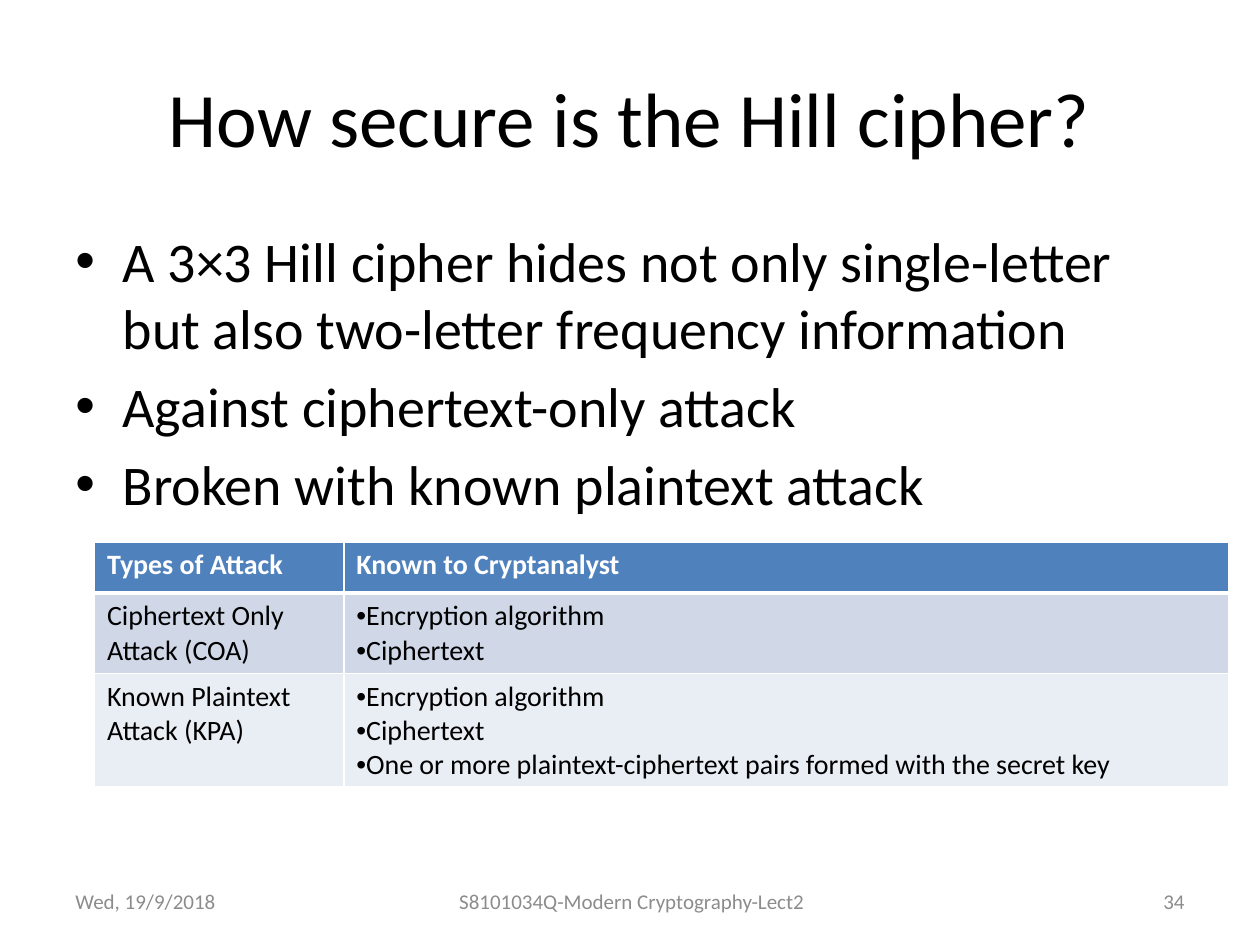
"""Build the slide on the security of the Hill cipher."""
import pptx
import pptx.dml.color
import pptx.enum.text
import pptx.oxml
import pptx.oxml.ns
import pptx.util

Pt = pptx.util.Pt
ALIGN = pptx.enum.text.PP_ALIGN
ANCHOR = pptx.enum.text.MSO_ANCHOR

FONT = "Calibri"
COLORS = {"text": "000000", "footer": "8C8C8C", "white": "FFFFFF",
          "header": "4F81BD", "odd": "D0D8E8", "even": "E9EDF4"}

TITLE = "How secure is the Hill cipher?"
POINTS = [
    "A 3×3 Hill cipher hides not only single-letter but also two-letter frequency information",
    "Against ciphertext-only attack",
    "Broken with known plaintext attack",
]
FOOTERS = [
    ("Wed, 19/9/2018", 36, 168, ALIGN.LEFT),
    ("S8101034Q-Modern Cryptography-Lect2", 218, 286, ALIGN.CENTER),
    ("34", 516, 168, ALIGN.RIGHT),
]
HEADINGS = ["Types of Attack", "Known to Cryptanalyst"]
ATTACKS = [
    ("Ciphertext Only Attack (COA)", ["Encryption algorithm", "Ciphertext"]),
    ("Known Plaintext Attack (KPA)",
     ["Encryption algorithm", "Ciphertext",
      "One or more plaintext-ciphertext pairs formed with the secret key"]),
]
COL_WIDTHS = [142.5, 505.5]
ROW_HEIGHTS = [29.2, 46, 65]


def rgb(name):
    return pptx.dml.color.RGBColor.from_string(COLORS[name])


def add_bullet(p, indent=0):
    pPr = p._p.get_or_add_pPr()
    pPr.set("marL", str(Pt(indent)))
    pPr.set("indent", str(-Pt(indent)))
    ns = pptx.oxml.ns.nsdecls("a")
    pPr.append(pptx.oxml.parse_xml(f'<a:buFont {ns} typeface="Arial"/>'))
    pPr.append(pptx.oxml.parse_xml(f'<a:buChar {ns} char="•"/>'))


def write(tf, lines, size, color="text", align=ALIGN.LEFT, bold=False,
          bullet=False, indent=0, gap=0):
    for i, line in enumerate(lines):
        p = tf.add_paragraph() if i else tf.paragraphs[0]
        p.alignment = align
        if i and gap:
            p.space_before = Pt(gap)
        if bullet:
            add_bullet(p, indent)
        r = p.add_run()
        r.text = line
        r.font.name, r.font.size, r.font.bold = FONT, Pt(size), bold
        r.font.color.rgb = rgb(color)


def add_text(s, box, lines, size, anchor=ANCHOR.MIDDLE, **style):
    tf = s.shapes.add_textbox(*map(Pt, box)).text_frame
    tf.word_wrap = True
    tf.vertical_anchor = anchor
    write(tf, lines, size, **style)


def set_borders(cell, bottom, top):
    tcPr = cell._tc.get_or_add_tcPr()
    widths = {"lnL": 1, "lnR": 1, "lnT": top, "lnB": bottom}
    for i, (tag, width) in enumerate(widths.items()):
        tcPr.insert(i, pptx.oxml.parse_xml(
            f'<a:{tag} {pptx.oxml.ns.nsdecls("a")} w="{Pt(width)}"><a:solidFill>'
            f'<a:srgbClr val="{COLORS["white"]}"/></a:solidFill></a:{tag}>'))


def add_attack_table(s):
    rows = [[[h] for h in HEADINGS]] + [[[name], known] for name, known in ATTACKS]
    table = s.shapes.add_table(len(rows), len(HEADINGS), Pt(54), Pt(309.6),
                               Pt(sum(COL_WIDTHS)), Pt(sum(ROW_HEIGHTS))).table
    for column, width in zip(table.columns, COL_WIDTHS):
        column.width = Pt(width)
    for i, (row, height) in enumerate(zip(rows, ROW_HEIGHTS)):
        table.rows[i].height = Pt(height)
        header = i == 0
        for j, lines in enumerate(row):
            cell = table.cell(i, j)
            cell.fill.solid()
            cell.fill.fore_color.rgb = rgb("header" if header else "odd" if i % 2 else "even")
            set_borders(cell, bottom=3 if header else 1, top=3 if i == 1 else 1)
            write(cell.text_frame, lines, 16, color="white" if header else "text",
                  bold=header, bullet=not header and j == 1)


def main():
    prs = pptx.Presentation()
    prs.slide_width, prs.slide_height = Pt(720), Pt(540)
    s = prs.slides.add_slide(prs.slide_layouts[6])
    add_text(s, (36, 21.6, 648, 90), [TITLE], 44, align=ALIGN.CENTER)
    add_text(s, (36, 126, 648, 356.4), POINTS, 32, anchor=ANCHOR.TOP,
             bullet=True, indent=27, gap=6)
    for text, left, width, align in FOOTERS:
        add_text(s, (left, 500.5, width, 28.75), [text], 12, color="footer", align=align)
    add_attack_table(s)
    prs.save("out.pptx")


if __name__ == "__main__":
    main()
